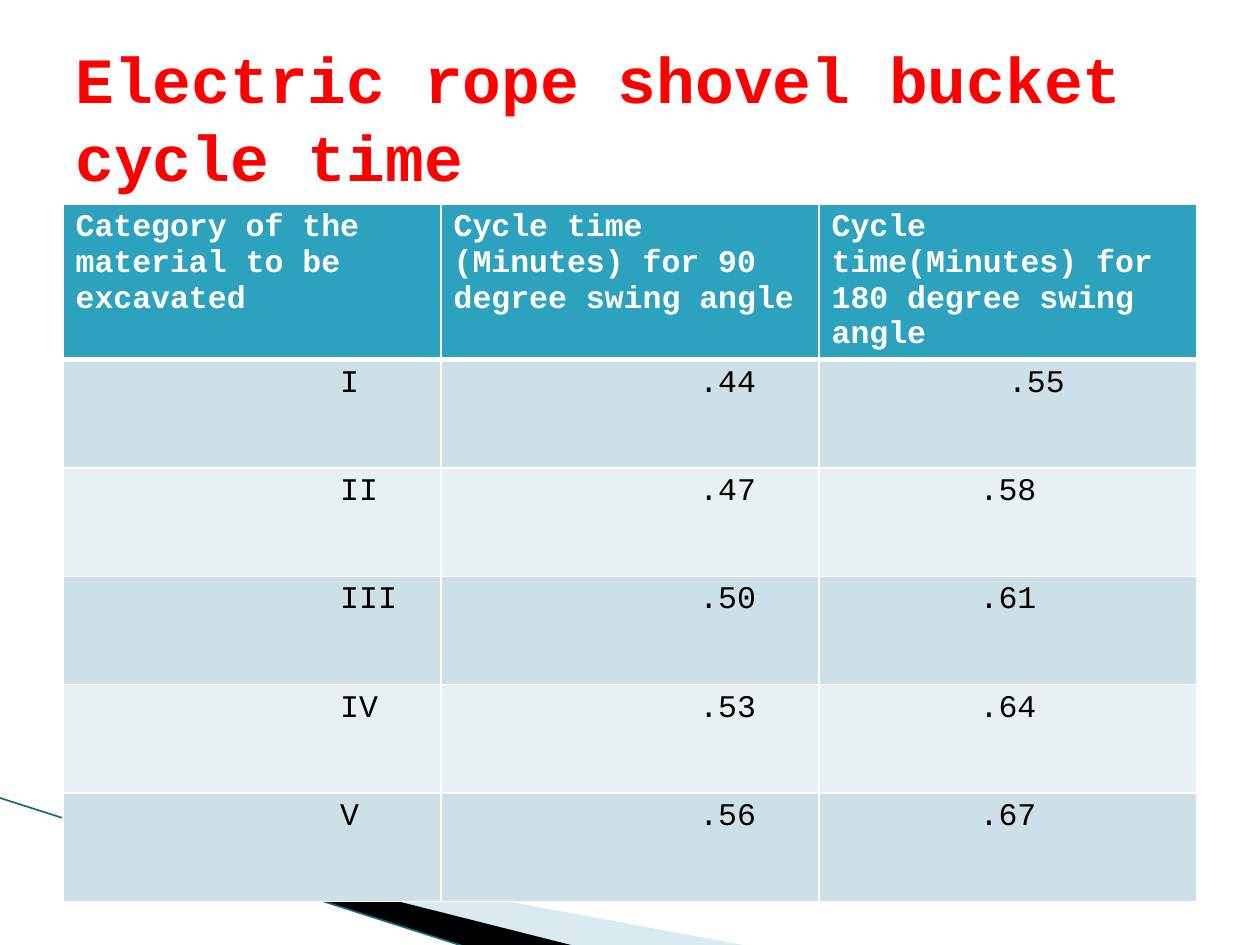
from lxml import etree
from pptx import Presentation, util as u
from pptx.dml.color import RGBColor
from pptx.enum import shapes, text
from pptx.oxml import parse_xml
from pptx.oxml.ns import qn

A_NS = 'xmlns:a="http://schemas.openxmlformats.org/drawingml/2006/main"'

# Content
TITLE = "Electric rope shovel bucket cycle time"
HEADINGS = [
    "Category of the material to be excavated",
    "Cycle time (Minutes) for 90 degree swing angle",
    "Cycle time(Minutes) for 180 degree swing angle",
]
CYCLE_TIMES = [
    ("I", ".44", ".55"),
    ("II", ".47", ".58"),
    ("III", ".50", ".61"),
    ("IV", ".53", ".64"),
    ("V", ".56", ".67"),
]
# Corner wedges: outline, colour, opacity in percent
WEDGES = [
    ([(0.55, 6.51), (5.95, 7.51), (4.56, 7.51), (0.55, 6.5)], "A0CBDC", 40),
    ([(0.53, 6.49), (4.57, 7.51), (3.72, 7.52), (0.54, 6.5)], "000000", 100),
]

# Formats
HEAD_FONT = {"name": "Courier New", "size": u.Pt(18), "bold": True}
BODY_FONT = {**HEAD_FONT, "bold": False}
TITLE_FONT = {**HEAD_FONT, "size": u.Pt(36.9)}
HEAD_FILL, BAND_FILLS = "2DA2BF", ("CDE0E8", "E8F0F4")
BODY_INDENTS = (2.2, 2.05, 0.1)
FIRST_CENTRED_INDENT = 0.55


def rgb(value):
    return RGBColor.from_string(value)


def write(frame, words, font, colour):
    paragraph = frame.paragraphs[0]
    run = paragraph.add_run()
    run.text = words
    for key, value in font.items():
        setattr(run.font, key, value)
    run.font.color.rgb = rgb(colour)
    return paragraph


def border(cell, bottom_width):
    """White rules round a cell; they must come before its fill."""
    props = cell._tc.get_or_add_tcPr()
    for position, side in enumerate("LRTB"):
        width = u.Pt(bottom_width if side == "B" else 1)
        props.insert(position, parse_xml(
            f'<a:ln{side} {A_NS} w="{width}"><a:solidFill>'
            f'<a:srgbClr val="FFFFFF"/></a:solidFill></a:ln{side}>'))


def add_wedge(slide, points, colour, opacity):
    start, *others = [(u.Inches(x), u.Inches(y)) for x, y in points]
    builder = slide.shapes.build_freeform(*start)
    builder.add_line_segments(others, close=True)
    wedge = builder.convert_to_shape()
    wedge.shadow.inherit = False
    wedge.fill.solid()
    wedge.fill.fore_color.rgb = rgb(colour)
    wedge.line.fill.background()
    if opacity < 100:
        tint = wedge._element.spPr.find(qn("a:solidFill"))[0]
        etree.SubElement(tint, qn("a:alpha"), val=str(opacity * 1000))


def add_times(slide):
    rows = [HEADINGS, *CYCLE_TIMES]
    table = slide.shapes.add_table(
        len(rows), len(HEADINGS),
        u.Inches(0.5), u.Inches(1.62), u.Inches(9), u.Inches(5.16)).table
    for row, values in enumerate(rows):
        table.rows[row].height = u.Inches(0.86)
        for column, value in enumerate(values):
            cell = table.cell(row, column)
            heading = row == 0
            cell.fill.solid()
            cell.fill.fore_color.rgb = rgb(
                HEAD_FILL if heading else BAND_FILLS[(row - 1) % 2])
            border(cell, 3 if heading else 1)
            paragraph = write(cell.text_frame, value,
                              HEAD_FONT if heading else BODY_FONT,
                              "FFFFFF" if heading else "000000")
            if heading:
                continue
            indent = BODY_INDENTS[column]
            if column == 2:
                paragraph.alignment = text.PP_ALIGN.CENTER
                if row == 1:
                    indent = FIRST_CENTRED_INDENT
            cell.margin_left = u.Inches(indent)


def main():
    deck = Presentation()
    deck.slide_width, deck.slide_height = u.Inches(10), u.Inches(7.5)
    slide = deck.slides.add_slide(deck.slide_layouts[6])

    # Corner decoration
    for wedge in WEDGES:
        add_wedge(slide, *wedge)
    edge = slide.shapes.add_connector(
        shapes.MSO_CONNECTOR.STRAIGHT,
        u.Inches(-0.01), u.Inches(6.33), u.Inches(3.71), u.Inches(7.52))
    edge.line.color.rgb = rgb("17697B")
    edge.line.width = u.Pt(0.95)
    etree.SubElement(edge._element.spPr, qn("a:effectLst"))

    # Cycle time table
    add_times(slide)

    # Title
    title = slide.shapes.add_textbox(
        u.Inches(0.5), u.Inches(0.3), u.Inches(9), u.Inches(1.25)).text_frame
    title.word_wrap = True
    title.vertical_anchor = text.MSO_ANCHOR.MIDDLE
    write(title, TITLE, TITLE_FONT, "FF0000")

    deck.save("out.pptx")


if __name__ == "__main__":
    main()
